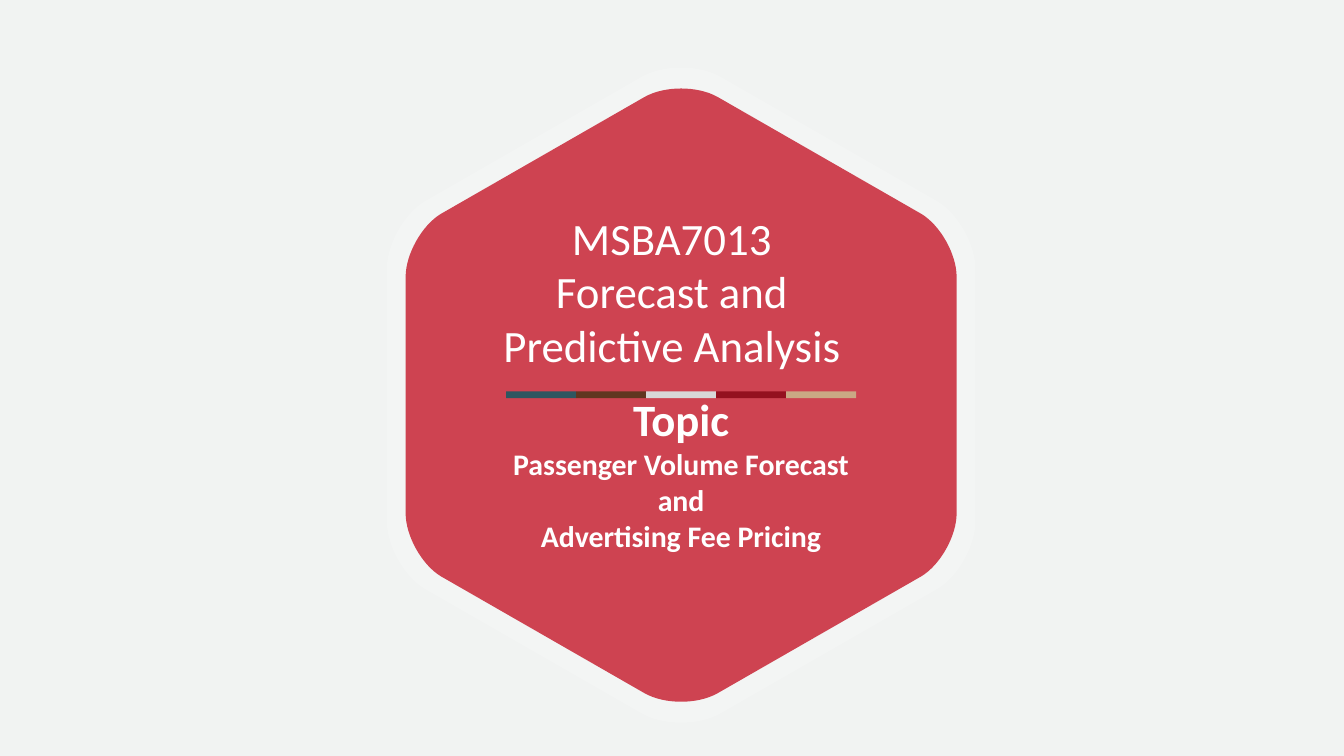
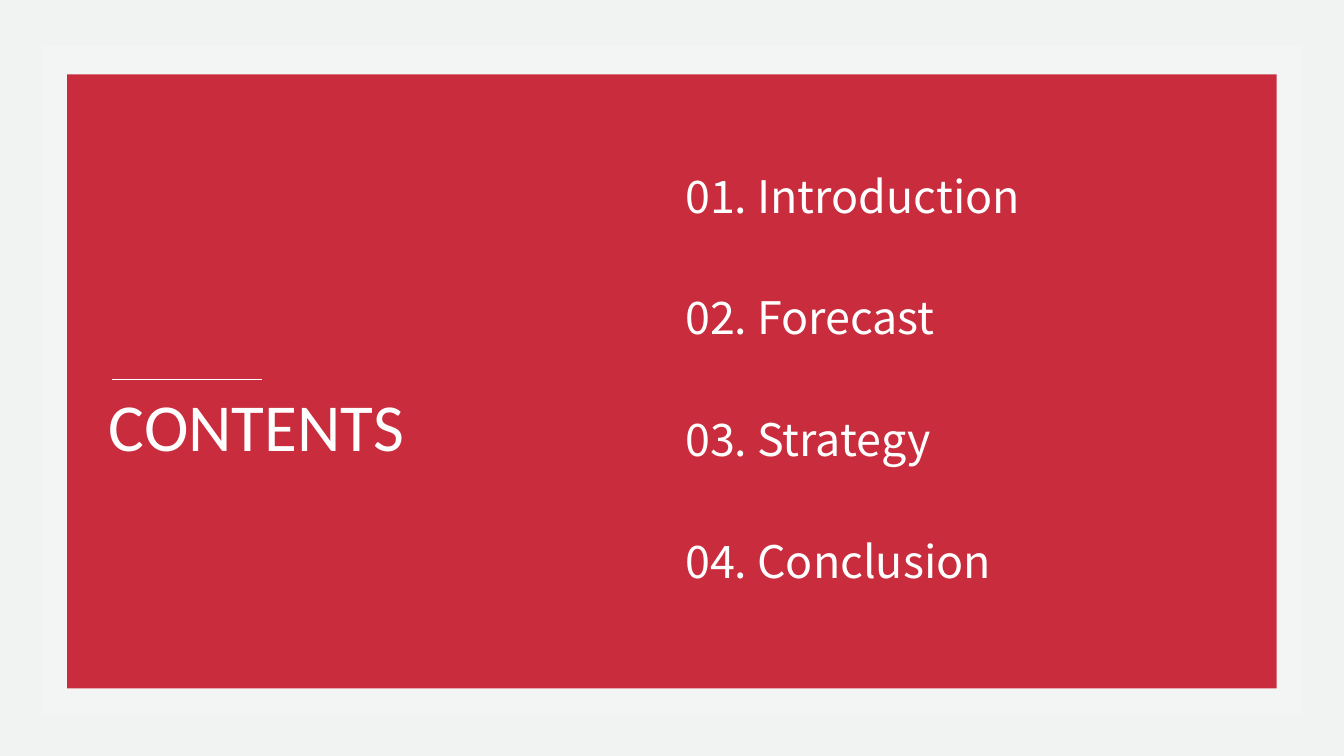
from lxml import etree
from pptx import Presentation
from pptx.dml.color import RGBColor
from pptx.enum.shapes import MSO_CONNECTOR, MSO_SHAPE
from pptx.enum.text import MSO_AUTO_SIZE, PP_ALIGN
from pptx.oxml.ns import qn
from pptx.util import Inches, Pt

RECTANGLE = MSO_SHAPE.RECTANGLE
STRAIGHT = MSO_CONNECTOR.STRAIGHT
FIT_SHAPE = MSO_AUTO_SIZE.SHAPE_TO_FIT_TEXT
LEFT, CENTER = PP_ALIGN.LEFT, PP_ALIGN.CENTER

# The grid has square cells: 100 columns and 56.25 rows
CELL = Inches(0.1)
COLUMNS, ROWS = 100, 56.25

COLORS = {
    "background": "F1F3F2",
    "white": "FFFFFF",
    "red": "C51729",
    "teal": "2E5660",
    "brown": "613620",
    "grey": "D8D8D8",
    "dark red": "94111F",
    "tan": "CAA884",
}
STRIPE = ["teal", "brown", "grey", "dark red", "tan"]
TITLE_FONT, LIST_FONT = "Calibri", "Noto Sans CJK SC"
HALO_OPACITY = 20

# Bezier points of two rounded corners, in cells from the hexagon's centre
TOP_CORNER = [(-2.9, -23.7), (-1.3, -24.6), (1.3, -24.6), (2.9, -23.7)]
RIGHT_CORNER = [(19.1, -14.4), (20.6, -13.5), (21.9, -11.2), (21.9, -9.4)]


def cells(value):
    return round(value * CELL)


def hexagon_points():
    """Mirror the right corner, then turn the right half by 180 degrees."""
    half = TOP_CORNER + RIGHT_CORNER + [(x, -y) for x, y in reversed(RIGHT_CORNER)]
    return half + [(-x, -y) for x, y in half]


def round_corners(shape):
    """Turn the last three points of every four into one Bezier curve."""
    lines = list(shape._element.iter(qn("a:lnTo")))
    for first in range(0, len(lines), 4):
        curve = etree.Element(qn("a:cubicBezTo"))
        lines[first].addprevious(curve)
        for line in lines[first:first + 3]:
            curve.append(line[0])
            line.getparent().remove(line)


class SlideBuilder:
    def __init__(self):
        self.deck = Presentation()
        self.deck.slide_width = cells(COLUMNS)
        self.deck.slide_height = cells(ROWS)
        self.page = None

    def color(self, name):
        return RGBColor.from_string(COLORS[name])

    def new_page(self):
        self.page = self.deck.slides.add_slide(self.deck.slide_layouts[6])
        fill = self.page.background.fill
        fill.solid()
        fill.fore_color.rgb = self.color("background")

    def paint(self, shape, color, opacity=100):
        shape.shadow.inherit = False
        shape.line.fill.background()
        shape.fill.solid()
        shape.fill.fore_color.rgb = self.color(color)
        if opacity < 100:
            value = next(shape.fill._xPr.iter(qn("a:srgbClr")))
            etree.SubElement(value, qn("a:alpha")).set("val", str(opacity * 1000))

    def rectangle(self, left, top, width, height, color, opacity=100):
        box = self.page.shapes.add_shape(
            RECTANGLE, *map(cells, (left, top, width, height)))
        self.paint(box, color, opacity)

    def hexagon(self, center_x, center_y, scale, color, opacity):
        points = [(cells(center_x + x * scale), cells(center_y + y * scale))
                  for x, y in hexagon_points()]
        outline = self.page.shapes.build_freeform(*points[0])
        outline.add_line_segments(points[1:], close=True)
        shape = outline.convert_to_shape()
        round_corners(shape)
        self.paint(shape, color, opacity)

    def centered_panel(self, width, height, top, color, opacity):
        self.rectangle((COLUMNS - width) / 2, top, width, height, color, opacity)

    def line(self, left, top, length):
        rule = self.page.shapes.add_connector(
            STRAIGHT, *map(cells, (left, top, left + length, top)))
        rule.line.color.rgb = self.color("white")
        rule.line.width = Pt(0.75)
        etree.SubElement(rule._element.spPr, qn("a:effectLst"))

    def text(self, left, top, width, height, lines, font=TITLE_FONT,
             align=LEFT, bold=False, wrap=False):
        """Write white paragraphs from (text, size) pairs."""
        box = self.page.shapes.add_textbox(*map(cells, (left, top, width, height)))
        frame = box.text_frame
        frame.word_wrap = wrap
        frame.auto_size = FIT_SHAPE
        frame.text = "\n".join(words for words, _ in lines)
        for para, (_, size) in zip(frame.paragraphs, lines):
            para.alignment = align
            for span in para.runs:
                span.font.name = font
                span.font.size = Pt(size)
                span.font.bold = bold
                span.font.color.rgb = self.color("white")


def build_cover(builder):
    builder.new_page()
    center_x, center_y = 50.68, 29.4
    builder.hexagon(center_x, center_y, 1, "white", HALO_OPACITY)
    builder.hexagon(center_x, center_y, 0.936, "red", 80)
    builder.text(31.13, 28.66, 39.1, 13.1, [
        ("Topic", 24),
        ("Passenger Volume Forecast", 16),
        ("and", 16),
        ("Advertising Fee Pricing", 16),
    ], align=CENTER, bold=True, wrap=True)
    builder.text(36.34, 15.16, 27.3, 13.1, [
        ("MSBA7013", 24),
        ("Forecast and", 24),
        ("Predictive Analysis", 24),
    ], align=CENTER)
    stripe_width = 5.21
    stripe_left = center_x - stripe_width * len(STRIPE) / 2
    for index, color in enumerate(STRIPE):
        builder.rectangle(stripe_left + index * stripe_width, 29.12,
                          stripe_width, 0.5, color)


def build_contents(builder):
    builder.new_page()
    builder.centered_panel(93.8, 49.8, 3.4, "white", HALO_OPACITY)
    builder.centered_panel(90, 45.7, 5.53, "red", 90)
    chapters = [("Introduction", 27.7), ("Forecast", 21.2),
                ("Strategy", 21.1), ("Conclusion", 25.5)]
    for index, (chapter, width) in enumerate(chapters):
        builder.text(COLUMNS / 2, 12.05 + index * 9.05, width, 5,
                     [(f"{index + 1:02}. {chapter}", 24)], font=LIST_FONT)
    builder.line(8.36, 28.26, 11.14)
    builder.text(7.12, 28.1, 24.2, 7.1, [("CONTENTS", 36)])


def main():
    builder = SlideBuilder()
    build_cover(builder)
    build_contents(builder)
    builder.deck.save("out.pptx")


if __name__ == "__main__":
    main()
